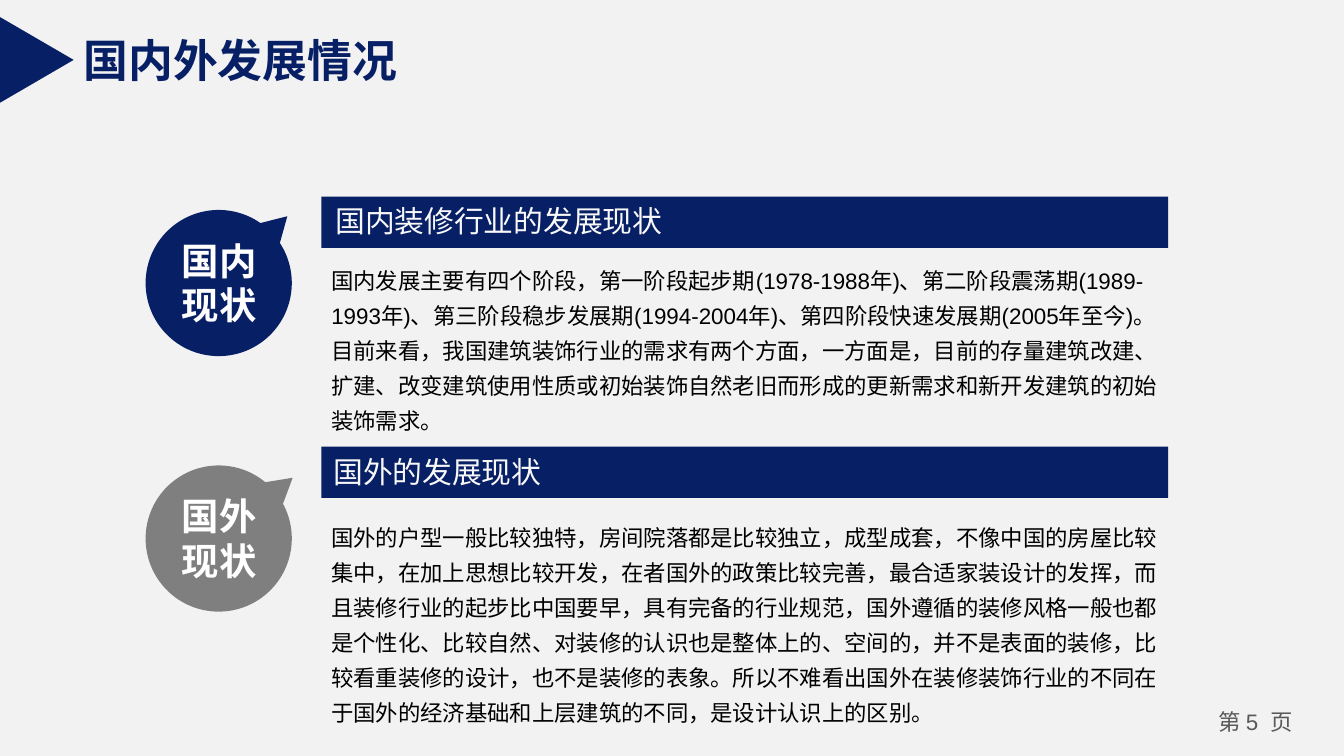
import math
from dataclasses import dataclass

import pptx
import pptx.dml.color
import pptx.enum.shapes
import pptx.enum.text
import pptx.oxml.ns
import pptx.util

Pt = pptx.util.Pt
qn = pptx.oxml.ns.qn
SHAPE = pptx.enum.shapes.MSO_SHAPE
ALIGN = pptx.enum.text.PP_ALIGN
ANCHOR = pptx.enum.text.MSO_ANCHOR


@dataclass(frozen=True)
class Theme:
    background: str = "F2F2F2"
    navy: str = "071F65"
    gray: str = "7F7F7F"
    footer: str = "595959"
    body: str = "000000"
    on_bar: str = "F8F8F8"
    on_badge: str = "FFFFFF"
    latin: str = "Arial"
    cjk: str = "Noto Sans CJK SC"
    title_size: float = 32
    badge_size: float = 26.7
    heading_size: float = 21.3
    body_size: float = 16


THEME = Theme()

SECTIONS = [
    dict(
        top=140.4, body_gap=41.2, body_height=131, badge_y=202.2, tip=44.2,
        heading_box=(2.9, 0.7, 487.4, 33.1),
        fill=THEME.navy, badge="国内\n现状",
        heading="国内装修行业的发展现状",
        body="国内发展主要有四个阶段，第一阶段起步期(1978-1988年)、第二阶段震荡期"
             "(1989-1993年)、第三阶段稳步发展期(1994-2004年)、第四阶段快速发展期"
             "(2005年至今)。目前来看，我国建筑装饰行业的需求有两个方面，一方面是，目前"
             "的存量建筑改建、扩建、改变建筑使用性质或初始装饰自然老旧而形成的更新需求和"
             "新开发建筑的初始装饰需求。",
    ),
    dict(
        top=319, body_gap=46.2, body_height=156.2, badge_y=384.7, tip=39.4,
        heading_box=(1.4, 1.2, 350, 33.1),
        fill=THEME.gray, badge="国外\n现状",
        heading="国外的发展现状",
        body="国外的户型一般比较独特，房间院落都是比较独立，成型成套，不像中国的房屋比较"
             "集中，在加上思想比较开发，在者国外的政策比较完善，最合适家装设计的发挥，而"
             "且装修行业的起步比中国要早，具有完备的行业规范，国外遵循的装修风格一般也都"
             "是个性化、比较自然、对装修的认识也是整体上的、空间的，并不是表面的装修，比"
             "较看重装修的设计，也不是装修的表象。所以不难看出国外在装修装饰行业的不同在"
             "于国外的经济基础和上层建筑的不同，是设计认识上的区别。",
    ),
]


def rgb(color):
    return pptx.dml.color.RGBColor.from_string(color)


def paint(sp, color):
    sp.shadow.inherit = False
    sp.fill.solid()
    sp.fill.fore_color.rgb = rgb(color)
    sp.line.fill.background()


def write(sp, text, size, color, font=THEME.latin, bold=False,
          align=ALIGN.LEFT, anchor=ANCHOR.TOP, wrap=True, spacing=None):
    tf = sp.text_frame
    tf.text = text
    tf.word_wrap = wrap
    tf.auto_size = pptx.enum.text.MSO_AUTO_SIZE.NONE
    tf.vertical_anchor = anchor
    for p in tf.paragraphs:
        p.alignment = align
        if spacing:
            p.line_spacing = spacing
        for r in p.runs:
            r.font.size = Pt(size)
            r.font.bold = bold
            r.font.color.rgb = rgb(color)
            r.font.name = font
            # East Asian typeface follows the Latin one
            rpr = r.font._element
            ea = rpr.makeelement(qn("a:ea"), {"typeface": THEME.cjk})
            rpr.find(qn("a:latin")).addnext(ea)


def add_text(shapes, box, text, size, color, **style):
    sp = shapes.add_textbox(*map(Pt, box))
    write(sp, text, size, color, **style)


def add_header(s, left, top, width, height):
    # Pointer: a triangle turned to the right
    base, depth = 61.2, 52.6
    marker = s.shapes.add_shape(
        SHAPE.ISOSCELES_TRIANGLE, Pt(left + (depth - base) / 2),
        Pt(top + (height - depth) / 2), Pt(base), Pt(depth))
    marker.rotation = 90
    paint(marker, THEME.navy)
    # Title
    sp = s.shapes.title
    sp.left, sp.top = Pt(left + 50.2), Pt(top)
    sp.width, sp.height = Pt(width), Pt(height)
    write(sp, "国内外发展情况", THEME.title_size, THEME.navy, bold=True,
          anchor=ANCHOR.MIDDLE, wrap=False)
    sp.text_frame.margin_left = sp.text_frame.margin_right = Pt(9.4)


def add_bubble(s, cx, cy, radius, tip, fill):
    # Tail points up in the outline; rotation turns it to the tip angle
    tail = 1.31 * radius
    angles = [79, 0, -90, -180, -259]

    def point(angle, distance=radius):
        a = math.radians(angle)
        return 100 * distance * math.cos(a), -100 * distance * math.sin(a)

    fb = s.shapes.build_freeform(*point(90, tail), scale=Pt(1) / 100)
    fb.add_line_segments([point(a) for a in angles], close=True)
    sp = fb.convert_to_shape()
    # Bend the segments around the circle into curves
    path = next(sp._element.iter(qn("a:path")))
    x0, y0 = point(180)[0], point(90, tail)[1]
    segments = path.findall(qn("a:lnTo"))[1:]
    for line, start, end in zip(segments, angles, angles[1:]):
        sweep = math.radians(start - end)
        reach = 4 / 3 * math.tan(sweep / 4)
        lean = math.degrees(math.atan(reach))
        distance = radius * math.hypot(1, reach)
        curve = path.makeelement(qn("a:cubicBezTo"), {})
        for x, y in (point(start - lean, distance),
                     point(end + lean, distance), point(end)):
            curve.append(curve.makeelement(
                qn("a:pt"), {"x": str(round(x - x0)), "y": str(round(y - y0))}))
        path.replace(line, curve)
    # Keep the circle's centre in place after turning
    shift, a = (tail - radius) / 2, math.radians(tip)
    sp.left = Pt(cx + shift * math.cos(a)) - sp.width // 2
    sp.top = Pt(cy - shift * math.sin(a)) - sp.height // 2
    sp.rotation = 90 - tip
    paint(sp, fill)


def add_badge(s, cx, cy, section):
    add_bubble(s, cx, cy, 52.2, section["tip"], section["fill"])
    # Label
    width, height = 67.7, 38.9
    add_text(s.shapes, (cx + 0.4 - width / 2, cy - 0.4 - height / 2, width, height),
             section["badge"], THEME.badge_size, THEME.on_badge, font=THEME.cjk,
             bold=True, align=ALIGN.CENTER, anchor=ANCHOR.MIDDLE, wrap=False)


def add_section(s, left, top, width, section):
    # Heading bar with its text
    group = s.shapes.add_group_shape()
    bar = group.shapes.add_shape(SHAPE.RECTANGLE, *map(Pt, (left, top, width, 36.7)))
    paint(bar, THEME.navy)
    dx, dy, text_width, text_height = section["heading_box"]
    add_text(group.shapes, (left + dx, top + dy, text_width, text_height),
             section["heading"], THEME.heading_size, THEME.on_bar, font=THEME.cjk)
    # Body
    add_text(s.shapes, (left, top + section["body_gap"], width, section["body_height"]),
             section["body"], THEME.body_size, THEME.body, spacing=1.3)
    # Badge
    add_badge(s, left - 73.4, section["badge_y"], section)


def add_page_number(s, left, top, width, height):
    add_text(s.shapes, (left, top, width, height), "第 5  页", THEME.body_size,
             THEME.footer, align=ALIGN.CENTER)


def main():
    prs = pptx.Presentation()
    prs.slide_width, prs.slide_height = Pt(960), Pt(540)
    s = prs.slides.add_slide(prs.slide_layouts[5])
    s.background.fill.solid()
    s.background.fill.fore_color.rgb = rgb(THEME.background)
    add_header(s, 0, 18.7, 245.5, 48.2)
    for section in SECTIONS:
        add_section(s, 229.6, section["top"], 604.8, section)
    add_page_number(s, 853.9, 502.6, 86.4, 28.8)
    prs.save("out.pptx")


if __name__ == "__main__":
    main()
